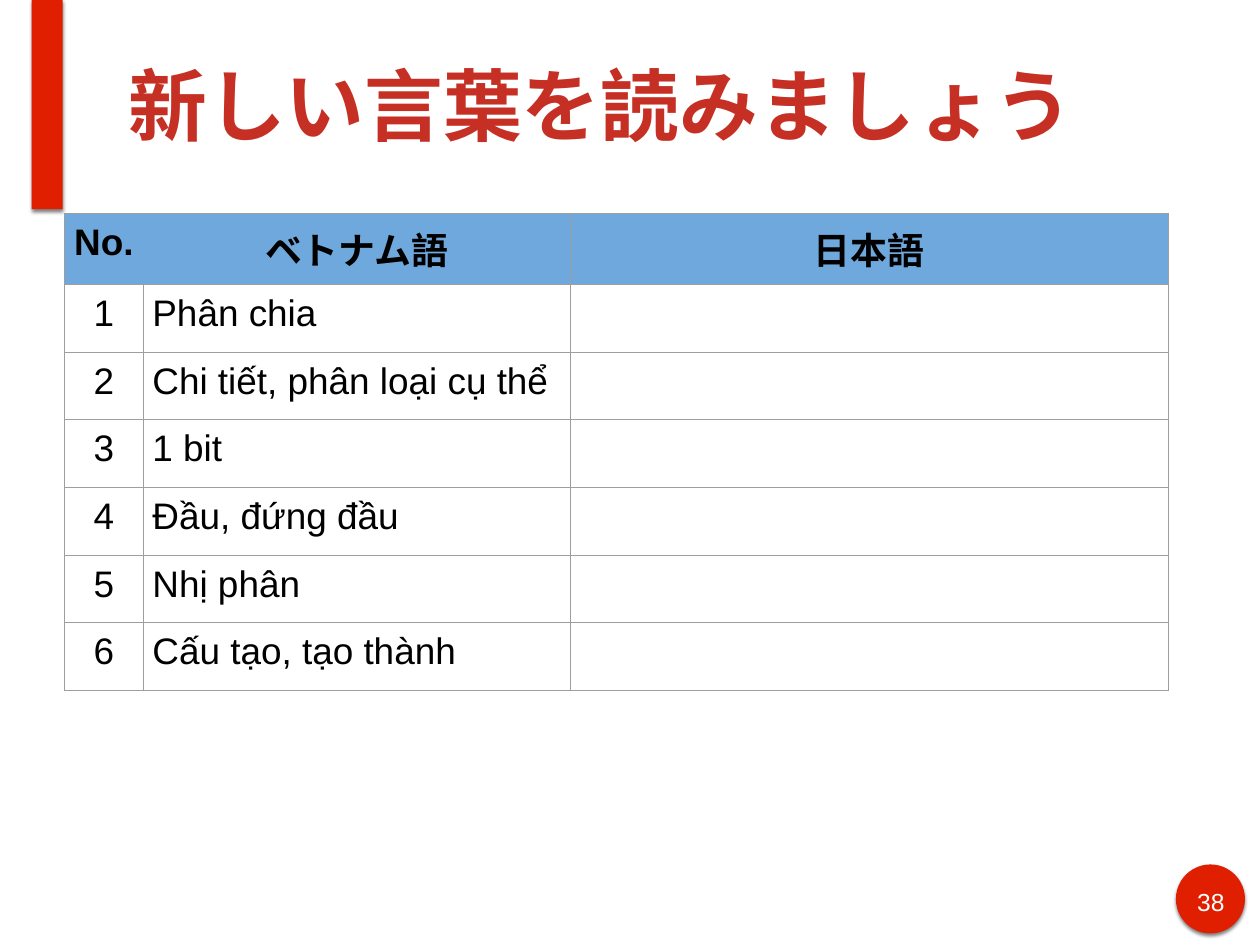
import pptx
import pptx.util
import pptx.oxml
import pptx.oxml.ns
import pptx.dml.color
import pptx.enum.shapes
import pptx.enum.text
from dataclasses import dataclass

Cm, Pt = pptx.util.Cm, pptx.util.Pt
Align = pptx.enum.text.PP_ALIGN
Anchor = pptx.enum.text.MSO_ANCHOR
Preset = pptx.enum.shapes.MSO_SHAPE

TITLE = "新しい言葉を読みましょう"
PAGE_NUMBER = "38"
HEADINGS = ["No.", "ベトナム語", "日本語"]
WORDS = [
    "Phân chia",
    "Chi tiết, phân loại cụ thể",
    "1 bit",
    "Đầu, đứng đầu",
    "Nhị phân",
    "Cấu tạo, tạo thành",
]
COLUMN_WIDTHS = [2.28, 12.22, 17.15]
HEADING_HEIGHT, WORD_HEIGHT = 2.04, 1.94


@dataclass(frozen=True)
class Theme:
    font: str = "Arial"
    accent: str = "DF1F00"
    title: str = "C63024"
    heading_fill: str = "6FA8DC"
    border: str = "9E9E9E"
    text: str = "000000"
    light: str = "FFFFFF"
    title_size: int = 64
    table_size: int = 30
    number_size: int = 20


THEME = Theme()


def rgb(value):
    return pptx.dml.color.RGBColor.from_string(value)


def style(para, size, color, bold=False, align=Align.LEFT):
    para.alignment = align
    para.font.name = THEME.font
    para.font.size = Pt(size)
    para.font.bold = bold
    para.font.color.rgb = rgb(color)


def set_margins(frame, margin):
    frame.margin_left = frame.margin_right = margin
    frame.margin_top = frame.margin_bottom = margin


def add_accent(page, preset, left, top, width, height):
    shape = page.shapes.add_shape(preset, Cm(left), Cm(top), Cm(width), Cm(height))
    shape.fill.solid()
    shape.fill.fore_color.rgb = rgb(THEME.accent)
    shape.line.fill.background()
    shape._element.spPr.append(pptx.oxml.parse_xml(
        f'<a:effectLst {pptx.oxml.ns.nsdecls("a")}>'
        f'<a:outerShdw blurRad="{Pt(3)}" dist="{Pt(2)}" dir="5400000" rotWithShape="0">'
        '<a:srgbClr val="000000"><a:alpha val="50000"/></a:srgbClr>'
        '</a:outerShdw></a:effectLst>'))


def set_borders(cell, hidden):
    for side in ("lnL", "lnR", "lnT", "lnB"):
        paint = "<a:noFill/>" if side == hidden else (
            f'<a:solidFill><a:srgbClr val="{THEME.border}"/></a:solidFill>')
        cell._tc.get_or_add_tcPr().append(pptx.oxml.parse_xml(
            f'<a:{side} {pptx.oxml.ns.nsdecls("a")} w="{Pt(0.75)}">{paint}</a:{side}>'))


def add_word_table(page):
    rows = [HEADINGS] + [[str(n), word, ""] for n, word in enumerate(WORDS, 1)]
    heights = [HEADING_HEIGHT] + [WORD_HEIGHT] * len(WORDS)
    table = page.shapes.add_table(
        len(rows), len(HEADINGS), Cm(1.84), Cm(6.12),
        Cm(sum(COLUMN_WIDTHS)), Cm(sum(heights))).table
    table.first_row = table.horz_banding = False
    for column, width in zip(table.columns, COLUMN_WIDTHS):
        column.width = Cm(width)
    for row, height in zip(table.rows, heights):
        row.height = Cm(height)

    for r, texts in enumerate(rows):
        heading = r == 0
        for c, text in enumerate(texts):
            cell = table.cell(r, c)
            set_margins(cell, Cm(0.25))
            set_borders(cell, {0: "lnR", 1: "lnL"}.get(c) if heading else None)
            if heading:
                cell.fill.solid()
                cell.fill.fore_color.rgb = rgb(THEME.heading_fill)
            else:
                cell.fill.background()
            cell.text = text
            align = Align.CENTER if heading or c == 0 else Align.LEFT
            style(cell.text_frame.paragraphs[0], THEME.table_size, THEME.text, heading, align)


def main():
    deck = pptx.Presentation()
    deck.slide_width, deck.slide_height = Cm(36.12), Cm(27.1)
    page = deck.slides.add_slide(deck.slide_layouts.get_by_name("Title Only"))

    add_accent(page, Preset.OVAL, 33.71, 24.79, 1.98, 1.98)
    add_accent(page, Preset.RECTANGLE, 0.91, 0, 0.89, 6)

    title = page.shapes.title
    title.left, title.top, title.width, title.height = Cm(3.53), Cm(0.3), Cm(30.84), Cm(5.38)
    title.text = TITLE
    title.text_frame.vertical_anchor = Anchor.MIDDLE
    set_margins(title.text_frame, Cm(0.15))
    style(title.text_frame.paragraphs[0], THEME.title_size, THEME.title, True)

    number = page.shapes.add_textbox(Cm(34.09), Cm(25.27), Cm(1.24), Cm(0.99)).text_frame
    number.word_wrap = True
    number.text = PAGE_NUMBER
    set_margins(number, Cm(0.15))
    style(number.paragraphs[0], THEME.number_size, THEME.light, align=Align.CENTER)

    add_word_table(page)
    deck.save("out.pptx")


if __name__ == "__main__":
    main()
